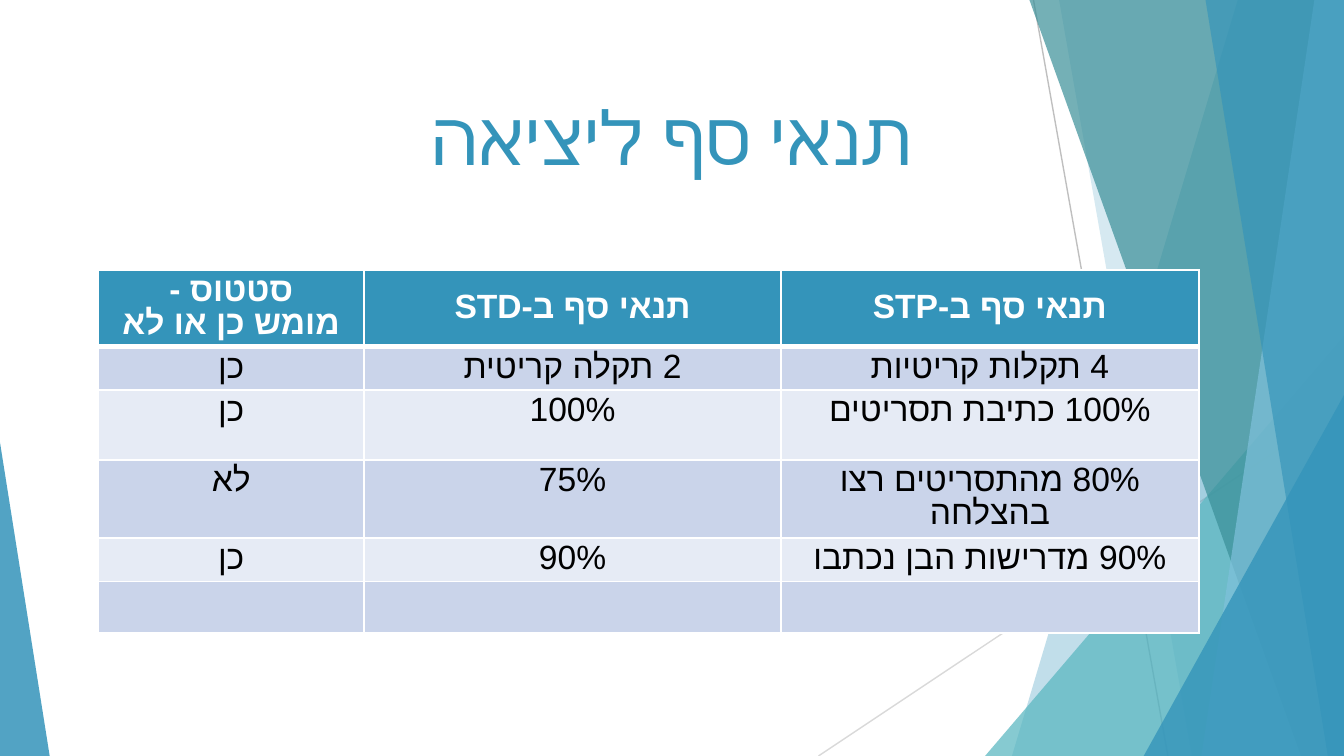
"""Build a right-to-left slide with a table of exit criteria."""
import pptx
import pptx.dml.color
import pptx.enum.shapes
import pptx.enum.text
import pptx.oxml
import pptx.oxml.ns
import pptx.util

Inches, Pt = pptx.util.Inches, pptx.util.Pt
RGBColor = pptx.dml.color.RGBColor
Anchor = pptx.enum.text.MSO_ANCHOR

BLUE = RGBColor(0x34, 0x94, 0xBA)
AQUA = RGBColor(0x58, 0xB6, 0xC0)
TEAL = RGBColor(0x3A, 0x8F, 0x98)
SKY = RGBColor(0x7F, 0xC1, 0xDB)
GREY = RGBColor(0xBF, 0xBF, 0xBF)
PALE_GREY = RGBColor(0xD9, 0xD9, 0xD9)
BAND_DARK = RGBColor(0xCA, 0xD4, 0xEA)
BAND_LIGHT = RGBColor(0xE6, 0xEB, 0xF5)
WHITE = RGBColor(0xFF, 0xFF, 0xFF)
BLACK = RGBColor(0, 0, 0)

WIDTH = 10
HEIGHT = WIDTH * 9 / 16
TITLE = "תנאי סף ליציאה"
ROWS = [
    ("סטטוס -\nמומש כן או לא", "תנאי סף ב-STD", "תנאי סף ב-STP"),
    ("כן", "2 תקלה קריטית", "4 תקלות קריטיות"),
    ("כן", "100%", "100% כתיבת תסריטים"),
    ("לא", "75%", "80% מהתסריטים רצו בהצלחה"),
    ("כן", "90%", "90% מדרישות הבן נכתבו"),
    ("", "", ""),
]
COLUMN_WIDTHS = [1.98, 3.1, 3.11]
ROW_HEIGHTS = [0.57, 0.32, 0.52, 0.58, 0.32, 0.37]

LINES = [((7.69, 0), (8.69, HEIGHT), GREY), ((WIDTH, 3.02), (6.09, HEIGHT), PALE_GREY)]
FACETS = [
    ("band", 9.21, 7.53, BLUE, 30),
    ("band", 7.88, 8.87, BLUE, 20),
    ("corner", 7.33, 2.5, AQUA, 72),
    ("band", 7.66, 9.68, TEAL, 70),
    ("band", 9.78, 8.94, SKY, 70),
    ("band", 8.97, 9.88, BLUE, 65),
    ("corner", 8.51, 2.94, BLUE, 80),
]


def write(frame, text, *, size, font, color, bold=False, spacing=None):
    """Fill a text frame with centred right-to-left paragraphs."""
    frame.text = text
    for para in frame.paragraphs:
        para.alignment = pptx.enum.text.PP_ALIGN.CENTER
        para._p.get_or_add_pPr().set("rtl", "1")
        if spacing:
            para.line_spacing = spacing
        for span in para.runs:
            span.font.size, span.font.bold = Pt(size), bold
            span.font.name = font
            span.font.color.rgb = color
            complex_font = pptx.oxml.parse_xml(
                f'<a:cs {pptx.oxml.ns.nsdecls("a")} typeface="{font}"/>')
            span.font._element.append(complex_font)


def paint(shape, color, opacity):
    """Give a shape a translucent fill and no outline."""
    shape.shadow.inherit = False
    shape.line.fill.background()
    shape.fill.solid()
    shape.fill.fore_color.rgb = color
    tint = shape._element.spPr.find(".//" + pptx.oxml.ns.qn("a:srgbClr"))
    tint.append(pptx.oxml.parse_xml(
        f'<a:alpha {pptx.oxml.ns.nsdecls("a")} val="{opacity * 1000}"/>'))


def add_line(page, start, end, color):
    """Draw a thin straight line."""
    line = page.shapes.add_connector(
        pptx.enum.shapes.MSO_CONNECTOR.STRAIGHT, *map(Inches, start + end))
    line.line.color.rgb, line.line.width = color, Pt(0.75)
    line._element.spPr.append(pptx.oxml.parse_xml(
        f'<a:effectLst {pptx.oxml.ns.nsdecls("a")}/>'))


def add_band(page, top_x, bottom_x, color, opacity):
    """Draw a full-height facet that reaches the right edge."""
    builder = page.shapes.build_freeform(Inches(top_x), 0)
    corners = [(WIDTH, 0), (WIDTH, HEIGHT), (bottom_x, HEIGHT)]
    builder.add_line_segments([(Inches(x), Inches(y)) for x, y in corners])
    paint(builder.convert_to_shape(), color, opacity)


def add_corner(page, left, top, color, opacity, right=WIDTH, apex=1):
    """Draw a right triangle that stands on the bottom edge."""
    shape = page.shapes.add_shape(
        pptx.enum.shapes.MSO_SHAPE.ISOSCELES_TRIANGLE,
        *map(Inches, (left, top, right - left, HEIGHT - top)))
    shape.adjustments[0] = apex
    paint(shape, color, opacity)


def add_borders(cell, bottom):
    """Give a cell white borders, with its own bottom width in points."""
    properties = cell._tc.get_or_add_tcPr()
    for index, (side, width) in enumerate(zip("LRTB", (1, 1, 1, bottom))):
        properties.insert(index, pptx.oxml.parse_xml(
            f'<a:ln{side} {pptx.oxml.ns.nsdecls("a")} w="{Pt(width)}">'
            f'<a:solidFill><a:srgbClr val="{WHITE}"/></a:solidFill></a:ln{side}>'))


def add_criteria(page):
    """Add the table of exit criteria."""
    table = page.shapes.add_table(
        len(ROWS), len(COLUMN_WIDTHS), Inches(0.73), Inches(2.01),
        Inches(sum(COLUMN_WIDTHS)), Inches(sum(ROW_HEIGHTS))).table
    for column, width in zip(table.columns, COLUMN_WIDTHS):
        column.width = Inches(width)
    for index, (row, height, texts) in enumerate(zip(table.rows, ROW_HEIGHTS, ROWS)):
        row.height = Inches(height)
        header = index == 0
        band = BAND_DARK if index % 2 else BAND_LIGHT
        for cell, text in zip(row.cells, texts):
            cell.margin_top = cell.margin_bottom = Inches(0.04)
            cell.vertical_anchor = Anchor.MIDDLE if header else Anchor.TOP
            cell.fill.solid()
            cell.fill.fore_color.rgb = BLUE if header else band
            add_borders(cell, bottom=3 if header else 1)
            write(cell.text_frame, text, size=18, font="Arial", bold=header,
                  color=WHITE if header else BLACK, spacing=0.87)


def main():
    """Assemble and save the deck."""
    deck = pptx.Presentation()
    deck.slide_width, deck.slide_height = Inches(WIDTH), Inches(HEIGHT)
    page = deck.slides.add_slide(deck.slide_layouts[5])
    for line in LINES:
        add_line(page, *line)
    for kind, *facet in FACETS:
        (add_band if kind == "band" else add_corner)(page, *facet)
    add_corner(page, 0, 3.29, BLUE, 85, right=0.37, apex=0)

    title = page.shapes.title
    page.shapes._spTree.append(title._element)
    title.left, title.top, title.width, title.height = map(Inches, (0.5, 0.76, 9, 0.58))
    frame = title.text_frame
    frame.auto_size = pptx.enum.text.MSO_AUTO_SIZE.NONE
    frame.vertical_anchor = Anchor.BOTTOM
    frame.margin_left = frame.margin_right = frame.margin_bottom = 0
    write(frame, TITLE, size=40, font="Lato", color=BLUE)

    add_criteria(page)
    deck.save("out.pptx")


if __name__ == "__main__":
    main()
